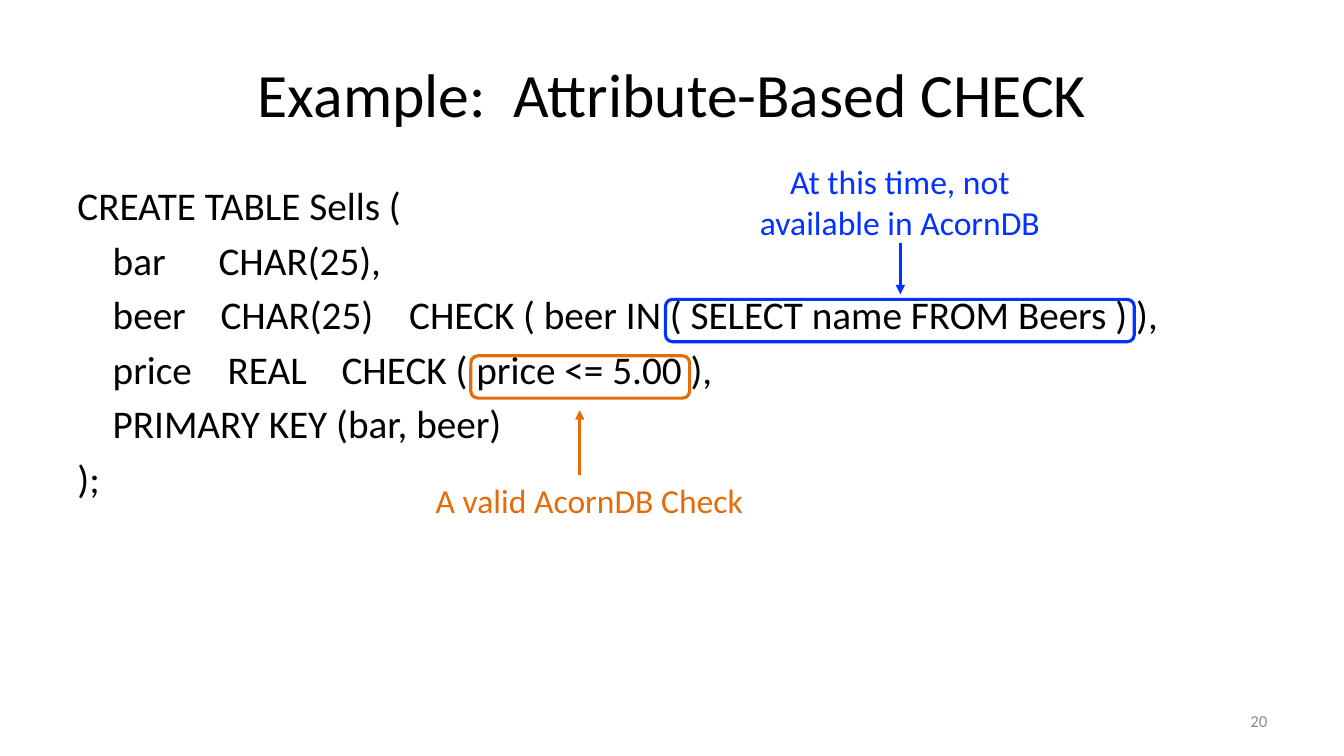
from lxml import etree
from pptx import Presentation
from pptx.dml.color import RGBColor
from pptx.enum.shapes import MSO_CONNECTOR, MSO_SHAPE
from pptx.enum.text import MSO_ANCHOR, MSO_AUTO_SIZE, PP_ALIGN
from pptx.oxml.ns import qn
from pptx.util import Inches, Pt

STRAIGHT = MSO_CONNECTOR.STRAIGHT
ROUNDED = MSO_SHAPE.ROUNDED_RECTANGLE
TOP, MIDDLE = MSO_ANCHOR.TOP, MSO_ANCHOR.MIDDLE
LEFT, CENTER, RIGHT = PP_ALIGN.LEFT, PP_ALIGN.CENTER, PP_ALIGN.RIGHT
NO_FIT = MSO_AUTO_SIZE.NONE

BLACK, GRAY, BLUE, ORANGE = "000000", "8C8C8C", "0432FF", "E46C0A"

# Each code line with the tab stops (inches) of its columns
CODE_LINES = [
    ("CREATE TABLE Sells (", []),
    ("\tbar\tCHAR(25),", [0.35, 1.4]),
    ("\tbeer\tCHAR(25)\tCHECK ( beer IN ( SELECT name FROM Beers ) ),", [0.35, 1.42, 3.29]),
    ("\tprice\tREAL\tCHECK ( price <= 5.00 ),", [0.35, 1.49, 2.62]),
    ("\tPRIMARY KEY (bar, beer)", [0.35]),
    (");", []),
]


def color(hex_value):
    return RGBColor.from_string(hex_value)


class CheckSlide:
    font_name = "Calibri"
    line_width = Pt(2.25)

    def __init__(self, presentation):
        self.slide = presentation.slides.add_slide(presentation.slide_layouts[5])
        self.shapes = self.slide.shapes

    def style_frame(self, frame, anchor):
        settings = {"word_wrap": True, "auto_size": NO_FIT, "vertical_anchor": anchor}
        for name, value in settings.items():
            setattr(frame, name, value)

    def add_text(self, paragraph, text, size, hex_value, alignment):
        paragraph.alignment = alignment
        run = paragraph.add_run()
        run.text = text
        for name, value in {"name": self.font_name, "size": Pt(size)}.items():
            setattr(run.font, name, value)
        run.font.color.rgb = color(hex_value)

    def title(self, text, left, top, width, height):
        title = self.shapes.title
        place = {"left": left, "top": top, "width": width, "height": height}
        for name, value in place.items():
            setattr(title, name, Inches(value))
        self.style_frame(title.text_frame, MIDDLE)
        self.add_text(title.text_frame.paragraphs[0], text, 44, BLACK, CENTER)

    def text_frame(self, box, anchor):
        frame = self.shapes.add_textbox(*map(Inches, box)).text_frame
        self.style_frame(frame, anchor)
        return frame

    def label(self, text, box, size, hex_value, alignment=CENTER, anchor=TOP):
        frame = self.text_frame(box, anchor)
        self.add_text(frame.paragraphs[0], text, size, hex_value, alignment)

    def code_block(self, lines, box):
        frame = self.text_frame(box, TOP)
        for index, (text, stops) in enumerate(lines):
            paragraph = frame.add_paragraph() if index else frame.paragraphs[0]
            paragraph.space_before = Pt(5.3 if index else 0)
            self.add_text(paragraph, text, 28, BLACK, LEFT)
            if stops:
                self.tab_stops(paragraph, stops)

    def tab_stops(self, paragraph, stops):
        tab_list = etree.SubElement(paragraph._p.get_or_add_pPr(), qn("a:tabLst"))
        for stop in stops:
            etree.SubElement(tab_list, qn("a:tab"), pos=str(Inches(stop)), algn="l")

    def highlight(self, box, hex_value):
        shape = self.shapes.add_shape(ROUNDED, *map(Inches, box))
        shape.shadow.inherit = False
        shape.fill.background()
        shape.line.color.rgb = color(hex_value)
        shape.line.width = self.line_width

    def vertical_arrow(self, x, start, end, hex_value):
        arrow = self.shapes.add_connector(STRAIGHT, *map(Inches, (x, start, x, end)))
        arrow.line.color.rgb = color(hex_value)
        arrow.line.width = self.line_width
        etree.SubElement(arrow.line._get_or_add_ln(), qn("a:tailEnd"), type="triangle")
        etree.SubElement(arrow._element.spPr, qn("a:effectLst"))


def main():
    presentation = Presentation()
    presentation.slide_width = Inches(13.33)
    presentation.slide_height = Inches(7.5)

    slide = CheckSlide(presentation)
    slide.title("Example:  Attribute-Based CHECK", 0.67, 0.3, 12, 1.25)
    slide.code_block(CODE_LINES, (0.67, 1.75, 12, 4.95))
    slide.label("20", (9.56, 6.95, 3.11, 0.4), 12, GRAY, RIGHT, MIDDLE)

    slide.highlight((6.6, 2.97, 4.65, 0.42), BLUE)
    slide.label("At this time, not available in AcornDB", (7.28, 1.55, 3.29, 0.91), 24, BLUE)
    slide.vertical_arrow(8.93, 2.41, 2.92, BLUE)

    slide.highlight((4.67, 3.53, 2.17, 0.42), ORANGE)
    slide.label("A valid AcornDB Check", (4.2, 4.71, 3.29, 0.5), 24, ORANGE)
    slide.vertical_arrow(5.75, 4.71, 4.07, ORANGE)

    presentation.save("out.pptx")


if __name__ == "__main__":
    main()
